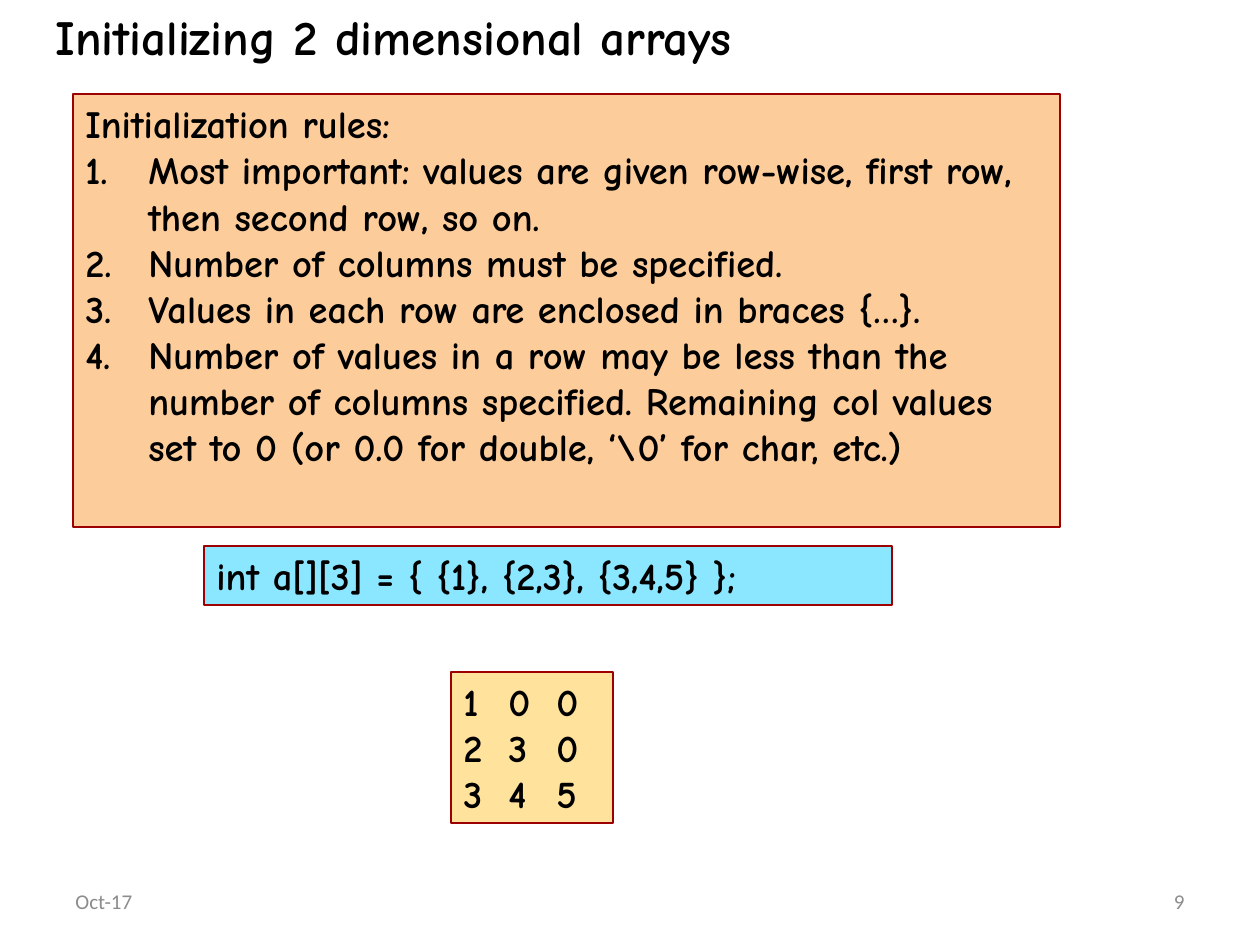
from lxml import etree
from pptx import Presentation
from pptx.dml.color import RGBColor
from pptx.enum.shapes import MSO_SHAPE
from pptx.enum.text import MSO_ANCHOR, PP_ALIGN
from pptx.oxml.ns import qn
from pptx.util import Pt

PIXEL = 914400 // 126
RECTANGLE = MSO_SHAPE.RECTANGLE
LEFT, CENTER, RIGHT = PP_ALIGN.LEFT, PP_ALIGN.CENTER, PP_ALIGN.RIGHT
TOP, MIDDLE = MSO_ANCHOR.TOP, MSO_ANCHOR.MIDDLE
BODY_FONT, FOOTER_FONT = "Comic Neue", "Calibri"
BLACK, GRAY, DARK_RED = "000000", "8C8C8C", "9D0000"

RULES = [
    "Most important: values are given row-wise, first row, then second row, so on.",
    "Number of columns must be specified.",
    "Values in each row are enclosed in braces {…}.",
    "Number of values in a row may be less than the number of columns specified. "
    "Remaining col values set to 0 (or 0.0 for double, ‘\\0’ for char, etc.)",
]
MATRIX = [(1, 0, 0), (2, 3, 0), (3, 4, 5)]


def px(length):
    """Turn pixels into EMU."""
    return length * PIXEL


def color(value):
    """Turn a hex string into a colour."""
    return RGBColor.from_string(value)


def add_paragraphs(shape, lines, size=22, font=BODY_FONT, ink=BLACK,
                   bold=True, align=LEFT):
    """Write one paragraph with one run for each line."""
    frame = shape.text_frame
    for index, line in enumerate(lines):
        paragraph = frame.add_paragraph() if index else frame.paragraphs[0]
        paragraph.alignment = align
        run = paragraph.add_run()
        run.text = line
        run.font.size = Pt(size)
        run.font.name = font
        run.font.bold = bold
        run.font.color.rgb = color(ink)
    return frame.paragraphs


def add_panel(slide, box, fill, lines):
    """Add a filled, red-edged rectangle with text; return its paragraphs."""
    shape = slide.shapes.add_shape(RECTANGLE, *map(px, box))
    shape.shadow.inherit = False
    shape.fill.solid()
    shape.fill.fore_color.rgb = color(fill)
    shape.line.color.rgb = color(DARK_RED)
    shape.line.width = Pt(0.74)
    shape.text_frame.word_wrap = True
    shape.text_frame.vertical_anchor = TOP
    return add_paragraphs(shape, lines)


def add_label(slide, box, text, anchor=MIDDLE, wrap=True, **style):
    """Add a text box with a single line."""
    shape = slide.shapes.add_textbox(*map(px, box))
    shape.text_frame.word_wrap = wrap
    shape.text_frame.vertical_anchor = anchor
    add_paragraphs(shape, [text], **style)


def number_paragraph(paragraph, indent=63):
    """Give a paragraph an automatic number and a hanging indent."""
    properties = paragraph._p.get_or_add_pPr()
    properties.set("marL", str(px(indent)))
    properties.set("indent", str(px(-indent)))
    font = etree.SubElement(properties, qn("a:buFont"))
    font.set("typeface", BODY_FONT)
    number = etree.SubElement(properties, qn("a:buAutoNum"))
    number.set("type", "arabicPeriod")


def set_tabs(paragraph, positions):
    """Set left tab stops on a paragraph."""
    tabs = etree.SubElement(paragraph._p.get_or_add_pPr(), qn("a:tabLst"))
    for position in positions:
        tab = etree.SubElement(tabs, qn("a:tab"))
        tab.set("pos", str(px(position)))
        tab.set("algn", "l")


def main():
    """Build the slide and save it."""
    presentation = Presentation()
    presentation.slide_width, presentation.slide_height = px(1260), px(945)
    slide = presentation.slides.add_slide(presentation.slide_layouts[6])

    rules = add_panel(slide, (73, 94, 987, 433), "FDCC9B",
                      ["Initialization rules:", *RULES])
    for paragraph in rules[1:]:
        number_paragraph(paragraph)

    add_panel(slide, (204, 546, 688, 59), "8BE6FF",
              ["int a[][3] = { {1}, {2,3}, {3,4,5} };"])

    rows = add_panel(slide, (451, 672, 162, 151), "FFE39D",
                     ["\t".join(map(str, row)) for row in MATRIX])
    for paragraph in rows:
        set_tabs(paragraph, (45, 93))

    add_label(slide, (-2, 0, 791, 72), "Initializing 2 dimensional arrays",
              anchor=TOP, wrap=False, size=28, align=CENTER)
    for left, text, align in ((63, "Oct-17", LEFT), (903, "9", RIGHT)):
        add_label(slide, (left, 876, 294, 50), text, size=12,
                  font=FOOTER_FONT, ink=GRAY, bold=False, align=align)

    presentation.save("out.pptx")


main()
